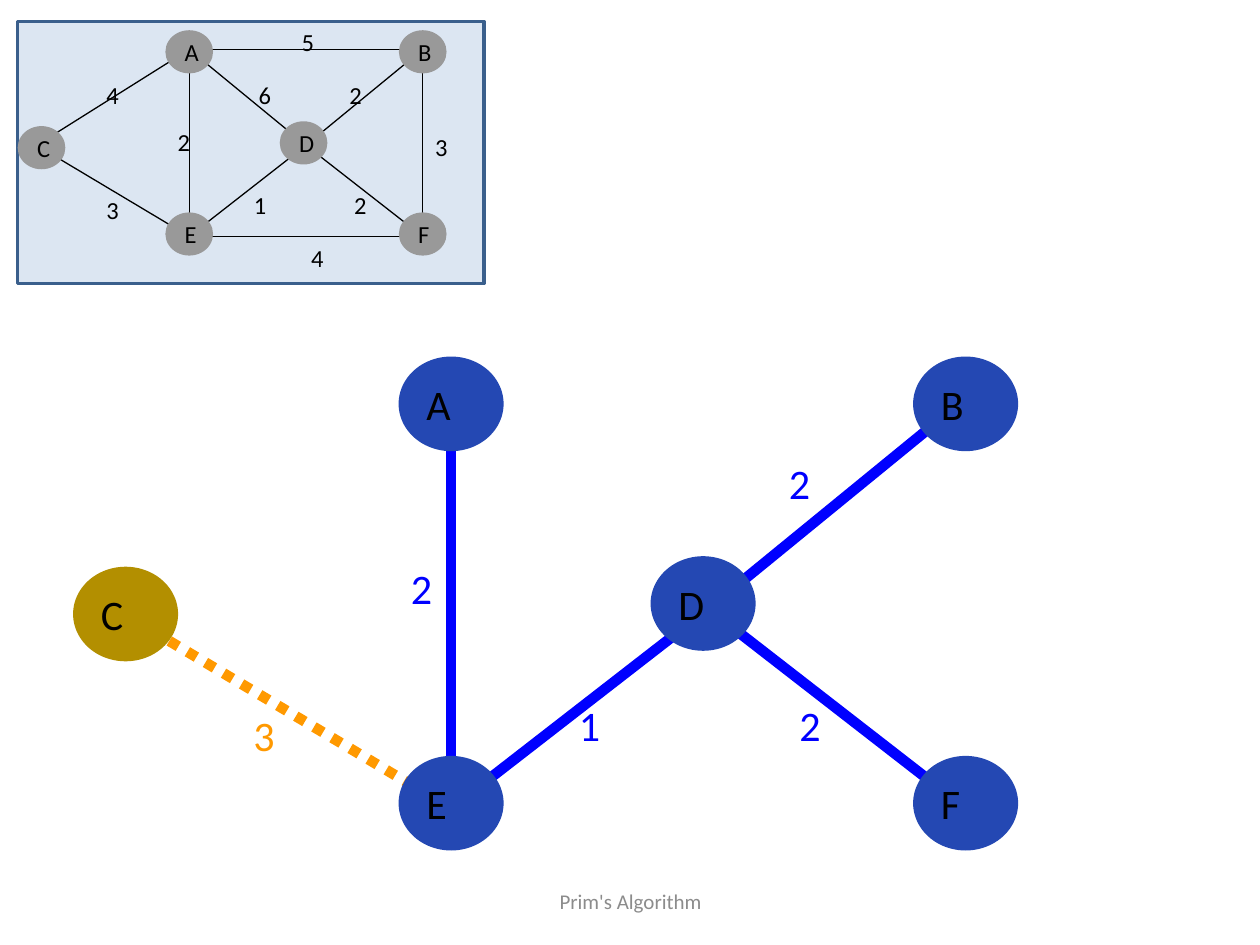
from collections import namedtuple
from dataclasses import dataclass

from lxml import etree
from pptx import Presentation
from pptx.dml.color import RGBColor
from pptx.enum.dml import MSO_LINE
from pptx.enum.shapes import MSO_CONNECTOR, MSO_SHAPE
from pptx.enum.text import MSO_ANCHOR, PP_ALIGN
from pptx.oxml.ns import qn
from pptx.util import Inches, Pt

STRAIGHT = MSO_CONNECTOR.STRAIGHT
OVAL, RECT = MSO_SHAPE.OVAL, MSO_SHAPE.RECTANGLE
DOTTED = MSO_LINE.ROUND_DOT
TOP, MIDDLE = MSO_ANCHOR.TOP, MSO_ANCHOR.MIDDLE
LEFT, CENTER = PP_ALIGN.LEFT, PP_ALIGN.CENTER


@dataclass(frozen=True)
class Theme:
    """Colours, font and type sizes of the slide."""
    font: str = "Calibri"
    ink: str = "000000"
    muted: str = "8C8C8C"
    panel: str = "DCE6F2"
    panel_line: str = "3A5F8C"
    grey_node: str = "999999"
    tree_node: str = "2448B3"
    next_node: str = "B38F00"
    tree_edge: str = "0000FF"
    next_edge: str = "FF9900"
    large: int = 24
    small: int = 14
    footer: int = 12


T = Theme()
Box = namedtuple("Box", "x y w h")
Node = namedtuple("Node", "col row joint_col joint_row")
Edge = namedtuple("Edge", "weight label_col label_row")
Look = namedtuple("Look", "node edge text size width dash")

COLS, ROWS = 90, 47
NODE_COLS, NODE_ROWS = 10, 9
LABEL_SPAN = 6
NODES = {
    "C": Node(0, 20, 4, 24),
    "F": Node(80, 38, 85, 43),
    "E": Node(31, 38, 36, 43),
    "A": Node(31, 0, 36, 4),
    "B": Node(80, 0, 85, 4),
    "D": Node(55, 19, 60.5, 24),
}
EDGES = {
    "AB": Edge(5, 57, -2),
    "AD": Edge(6, 48, 9),
    "CA": Edge(4, 16, 9),
    "CE": Edge(3, 16, 33),
    "EF": Edge(4, 59, 43),
    "AE": Edge(2, 31, 19),
    "DE": Edge(1, 47, 32),
    "DF": Edge(2, 68, 32),
    "BF": Edge(3, 85, 20),
    "DB": Edge(2, 67, 9),
}
PLAIN = Look(T.grey_node, T.ink, T.ink, T.small, 0.75, None)
TREE = Look(T.tree_node, T.tree_edge, T.tree_edge, T.large, 6, None)
NEXT = Look(T.next_node, T.next_edge, T.next_edge, T.large, 6, DOTTED)


def rgb(value):
    """Return the colour for a hex string."""
    return RGBColor.from_string(value)


def inches(*values):
    """Return the values as lengths in inches."""
    return [Inches(v) for v in values]


def write(sp, text, size, color=T.ink, align=LEFT, anchor=TOP, wrap=True):
    """Put one formatted line of text in a shape."""
    tf = sp.text_frame
    tf.word_wrap, tf.vertical_anchor = wrap, anchor
    p = tf.paragraphs[0]
    p.alignment = align
    r = p.add_run()
    r.text = text
    r.font.name, r.font.size = T.font, Pt(size)
    r.font.color.rgb = rgb(color)


def add_filled(shapes, kind, box, fill, line=None):
    """Add a flat shape with an optional 2 pt outline."""
    sp = shapes.add_shape(kind, *inches(*box))
    sp.shadow.inherit = False
    sp.fill.solid()
    sp.fill.fore_color.rgb = rgb(fill)
    if line:
        sp.line.color.rgb, sp.line.width = rgb(line), Pt(2)
    else:
        sp.line.fill.background()
    return sp


def add_line(shapes, start, end, look):
    """Add a straight edge between two points."""
    sp = shapes.add_connector(STRAIGHT, *inches(*start, *end))
    sp.line.color.rgb, sp.line.width = rgb(look.edge), Pt(look.width)
    if look.dash:
        sp.line.dash_style = look.dash
    etree.SubElement(sp._element.spPr, qn("a:effectLst"))


def add_graph(shapes, box, edges, node_looks):
    """Draw a weighted graph on the grid of the box, edges first."""
    dx, dy = box.w / COLS, box.h / ROWS

    def at(col, row):
        """Return the point of a grid position."""
        return box.x + col * dx, box.y + row * dy

    for name, look in edges.items():
        start, end = (at(*NODES[n][2:]) for n in name)
        add_line(shapes, start, end, look)
    for name, node in NODES.items():
        look = node_looks[name]
        spot = Box(*at(node.col, node.row), NODE_COLS * dx, NODE_ROWS * dy)
        sp = add_filled(shapes, OVAL, spot, look.node)
        write(sp, name, look.size, anchor=MIDDLE, wrap=False)
    for name, look in edges.items():
        weight, col, row = EDGES[name]
        sp = shapes.add_textbox(*inches(*at(col, row), LABEL_SPAN * dx, LABEL_SPAN * dy))
        write(sp, str(weight), look.size, look.text)


def add_tree(s, box):
    """Draw the spanning tree with its next candidate edge."""
    edges = {**dict.fromkeys(("AE", "DF", "DE", "DB"), TREE), "CE": NEXT}
    add_graph(s.shapes, box, edges, {**dict.fromkeys(NODES, TREE), "C": NEXT})


def add_overview(s, box):
    """Draw the full graph in a grouped, tinted panel."""
    shapes = s.shapes.add_group_shape().shapes
    add_filled(shapes, RECT, box, T.panel, T.panel_line)
    inner = Box(box.x, box.y + 0.07, box.w * 0.92, box.h * 0.86)
    add_graph(shapes, inner, dict.fromkeys(EDGES, PLAIN), dict.fromkeys(NODES, PLAIN))


def add_footer(s, box):
    """Write the centred footer line."""
    sp = s.shapes.add_textbox(*inches(*box))
    write(sp, "Prim's Algorithm", T.footer, T.muted, CENTER, MIDDLE)


def main():
    """Build and save the slide."""
    prs = Presentation()
    prs.slide_width, prs.slide_height = inches(10, 7.5)
    s = prs.slides.add_slide(prs.slide_layouts[6])
    add_footer(s, Box(3.42, 6.95, 3.17, 0.4))
    add_tree(s, Box(0.58, 2.83, 7.5, 3.92))
    add_overview(s, Box(0.14, 0.17, 3.7, 2.08))
    prs.save("out.pptx")


main()
